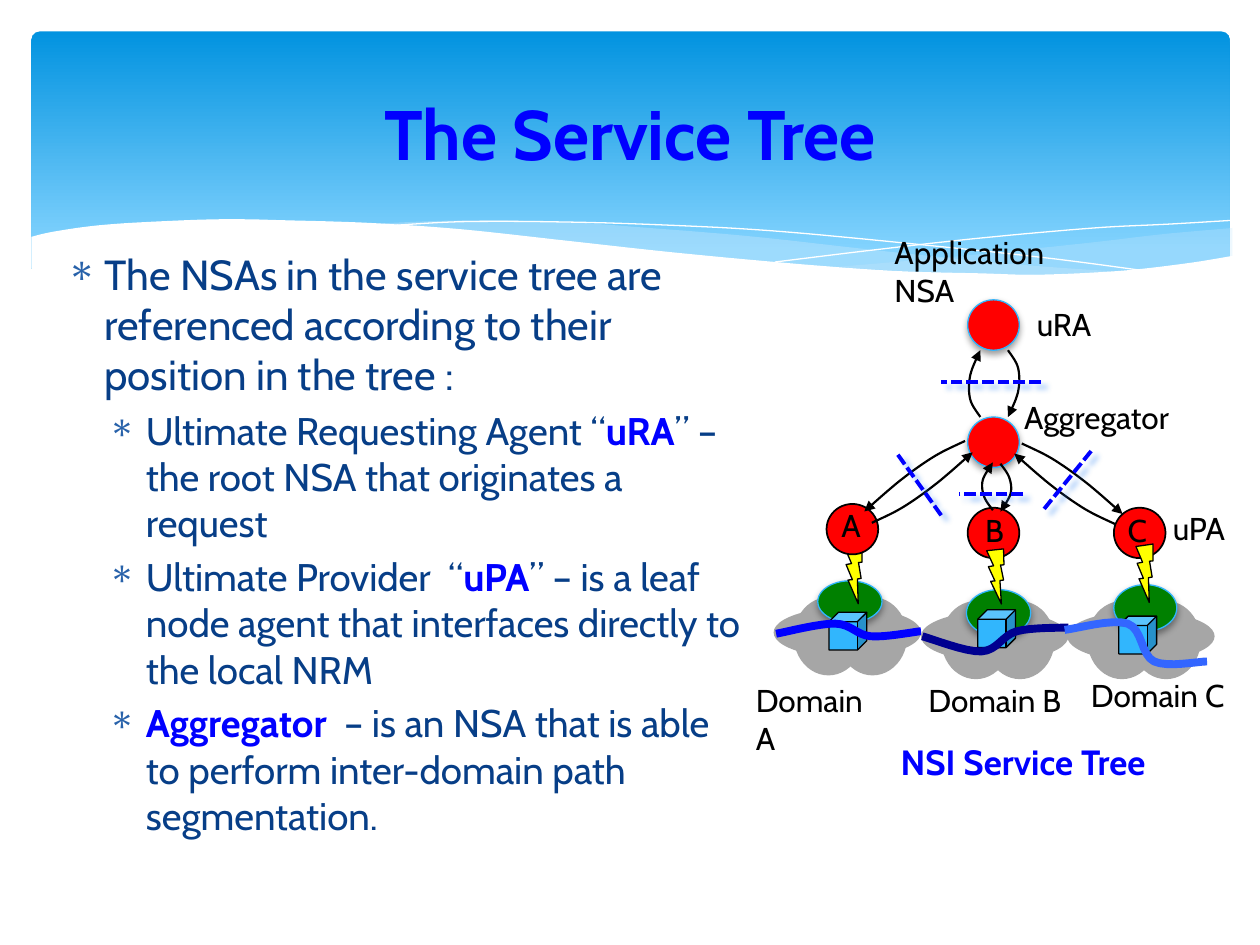
from lxml.etree import SubElement
from pptx import Presentation
from pptx.dml.color import RGBColor
from pptx.enum.dml import MSO_LINE
from pptx.enum.shapes import MSO_CONNECTOR, MSO_SHAPE as Kind
from pptx.enum.text import MSO_ANCHOR, PP_ALIGN
from pptx.oxml.ns import qn
from pptx.util import Inches, Pt

COLS, ROWS = 100, 75
BLUE, NAVY, SKY, RED = "0000FF", "073E87", "31B6FD", "FF0000"
DARK = ("000000", 38, 4, 2, 90)
GLOW = ("2D83F4", 38, 3.1, 4.6, 41)


def rgb(code):
    return RGBColor.from_string(code)


def add(node, tag, **vals):
    return SubElement(node, qn(tag), {k: str(v) for k, v in vals.items()})


def smooth(pts, steps=8):
    """Points of a Catmull-Rom curve through pts."""
    ends = [pts[0], *pts, pts[-1]]
    out = [pts[0]]
    for a, b, c, d in zip(ends, ends[1:], ends[2:], ends[3:]):
        for t in (i / steps for i in range(1, steps + 1)):
            out.append(tuple(
                (2 * q + (r - p) * t + (2 * p - 5 * q + 4 * r - s) * t ** 2
                 + (3 * q - p - 3 * r + s) * t ** 3) / 2
                for p, q, r, s in zip(a, b, c, d)))
    return out


class Page:
    def __init__(self, deck, font):
        self.font = font
        self.slide = deck.slides.add_slide(deck.slide_layouts[5])
        self.shapes = self.slide.shapes
        self.cell = (deck.slide_width / COLS, deck.slide_height / ROWS)

    def grid(self, *nums):
        """Columns and rows, in turn, as lengths."""
        return [round(n * self.cell[i % 2]) for i, n in enumerate(nums)]

    def effect(self, item, cast=None):
        fx = add(item._element.spPr, "a:effectLst")
        if cast:
            code, alpha, blur, dist, turn = cast
            shade = add(fx, "a:outerShdw", blurRad=Pt(blur), dist=Pt(dist),
                        dir=turn * 60000, algn="ctr", rotWithShape=0)
            add(add(shade, "a:srgbClr", val=code), "a:alpha", val=alpha * 1000)

    def paint(self, item, fill=None, line=None, width=0.75, cast=None):
        if fill:
            item.fill.solid()
            item.fill.fore_color.rgb = rgb(fill)
        else:
            item.fill.background()
        if line:
            item.line.color.rgb = rgb(line)
            item.line.width = Pt(width)
        else:
            item.line.fill.background()
        self.effect(item, cast)
        return item

    def shape(self, kind, at, turn=0, **look):
        item = self.shapes.add_shape(kind, *self.grid(*at))
        item.rotation = turn
        return self.paint(item, **look)

    def curve(self, pts, corners=(), close=False, alpha=None, head=False, **look):
        spots = [self.grid(*p) for p in [*smooth(pts), *corners]]
        pen = self.shapes.build_freeform(*spots[0])
        pen.add_line_segments(spots[1:], close=close)
        item = self.paint(pen.convert_to_shape(), **look)
        if alpha:
            tint = item._element.xpath("./p:spPr/a:solidFill/a:srgbClr")[0]
            add(tint, "a:alpha", val=alpha * 1000)
        if head:
            add(item.line._get_or_add_ln(), "a:tailEnd", type="triangle")

    def pair(self, pts, sums):
        """An arrow and its return, turned about half of sums."""
        back = [(sums[0] - x, sums[1] - y) for x, y in pts]
        for way in (pts, back):
            self.curve(way, head=True, line="000000", width=1.25)

    def dash(self, *ends):
        item = self.shapes.add_connector(MSO_CONNECTOR.STRAIGHT, *self.grid(*ends))
        looks = {"width": Pt(2.25), "dash_style": MSO_LINE.SQUARE_DOT}
        item.line.color.rgb = rgb(BLUE)
        for name, val in looks.items():
            setattr(item.line, name, val)
        self.effect(item, GLOW)

    def run(self, para, text, size=18, color="000000", bold=False):
        bit = para.add_run()
        bit.text = text
        looks = {"name": self.font, "size": Pt(size), "bold": bold}
        for name, val in looks.items():
            setattr(bit.font, name, val)
        bit.font.color.rgb = rgb(color)

    def box(self, at):
        frame = self.shapes.add_textbox(*self.grid(*at)).text_frame
        frame.word_wrap = True
        return frame

    def label(self, text, at, **look):
        self.run(self.box(at).paragraphs[0], text, **look)

    def title(self, text, at):
        item = self.shapes.title
        for name, val in zip(("left", "top", "width", "height"), self.grid(*at)):
            setattr(item, name, val)
        item.text_frame.vertical_anchor = MSO_ANCHOR.MIDDLE
        para = item.text_frame.paragraphs[0]
        para.alignment = PP_ALIGN.CENTER
        self.run(para, text, 40, BLUE, True)
        self.raise_up(item)

    def raise_up(self, item):
        self.shapes._spTree.append(item._element)

    def bullets(self, rows, at):
        """Rows of level and text; every second part between bars is bold."""
        frame = self.box(at)
        for n, (level, text) in enumerate(rows):
            para = frame.add_paragraph() if n else frame.paragraphs[0]
            size, left = ((24, 0.3), (22, 0.63))[level]
            para.level = level
            para.space_before = Pt(size * 0.2)
            props = para._p.get_or_add_pPr()
            props.set("marL", str(Inches(left)))
            props.set("indent", str(Inches(-0.3)))
            add(add(props, "a:buClr"), "a:srgbClr", val="2862AA")
            add(props, "a:buChar", char="∗")
            for i, part in enumerate(text.split("|")):
                if part:
                    self.run(para, part, size, BLUE if i % 2 else NAVY, bool(i % 2))


def banner(page):
    back = page.shape(Kind.ROUNDED_RECTANGLE, (2.5, 2.5, 95.1, 19.3))
    back.adjustments[0] = 0.034
    back.fill.gradient()
    back.fill.gradient_angle = 270
    for stop, spot, code in zip(back.fill.gradient_stops, (0, 0.9), ("0293E0", "83D3FE")):
        stop.position = spot
        stop.color.rgb = rgb(code)
    page.curve([(97.8, 18.1), (92.2, 18.6), (86.2, 19.3), (75.5, 20.4), (66.3, 21.2)],
               [(73.3, 21.6), (80.5, 21.8), (86.5, 21.7), (91.5, 21.3), (97.8, 20.4)],
               close=True, fill="C6E7FC", alpha=29)
    page.curve([(89.4, 21.6), (80.9, 21), (70.8, 20), (60, 18.8), (51.6, 18.1),
                (44.3, 17.6), (36.3, 17.5), (28.8, 17.8)],
               smooth([(28.8, 17.8), (36.4, 18.3), (45.1, 19.2), (56.8, 20.4),
                       (66.7, 21.3), (76.2, 21.8), (84, 21.8), (89.4, 21.6)]),
               close=True, fill="C6E7FC", alpha=40)
    page.curve([(31.1, 17.9), (36.5, 17.6), (43.4, 17.6), (51.2, 17.8), (61, 18.3),
                (72.9, 19.4), (83.3, 20.5), (90.9, 21.5)], line="FFFFFF", width=0)
    page.curve([(61.5, 20.8), (69.7, 19.8), (77.8, 18.9), (86.8, 18.1), (92.6, 17.8),
                (97.7, 17.5)], line="FFFFFF", width=0)
    page.curve([(2.5, 18.8), (4.2, 18.4), (7.7, 17.9), (12.1, 17.6), (17.8, 17.4),
                (23.2, 17.5), (29.4, 17.7), (36.6, 18.2), (44.9, 19.1), (53.1, 20),
                (62.7, 20.9), (70.9, 21.5), (77.9, 21.7), (82.5, 21.8), (88.9, 21.5),
                (94.2, 20.9), (97.9, 20.3)],
               [(97.9, 24.2), (2.5, 24.2)], close=True, fill="FFFFFF")


def domain(page, name, cloud, agent, green, cube, bolt, code, wave, text, tag):
    x, y = cloud
    for dx, dy, wide, high in ((0, 0.8, 11.7, 4), (1.6, 0, 5.5, 6.2), (5.1, 0, 5.5, 6.2)):
        page.shape(Kind.OVAL, (x + dx, y + dy, wide, high), fill="A6A6A6")
    node = page.shape(Kind.OVAL, (*agent, 4.1, 4), fill=RED, line="000000", width=1)
    page.shape(Kind.OVAL, green, fill="008000", line=SKY, cast=DARK)
    page.shape(Kind.CUBE, (*cube, 3, 3), fill=SKY, line="000000")
    page.shape(Kind.LIGHTNING_BOLT, bolt, turn=26, fill="FFFF00", line="000000")
    if name == "A":
        page.raise_up(node)
    page.label(name, tag)
    page.curve(wave, line=code, width=4.5)
    page.label(f"Domain {name}", text)


def tree(page):
    domain(page, "A", (61.4, 47.4), (65.6, 40), (64.9, 46.1, 5.1, 3.3), (65.8, 48.6),
           (66.3, 43.2, 2.9, 4.3), BLUE,
           [(61.6, 50.3), (66.3, 49.5), (69.1, 50.5), (73.1, 50.1)],
           (59, 53.6, 12.1, 4), (65.8, 39.7, 3.8, 4))
    domain(page, "B", (73.1, 47.7), (76.8, 40.3), (76.7, 46.8, 5.1, 3.7), (77.6, 48.4),
           (77.6, 43.5, 2.9, 4), "000090",
           [(73.2, 50.5), (77.9, 51.7), (80.7, 50.1), (84.8, 49.8)],
           (72.7, 53.6, 14, 4), (77.2, 40.1, 3, 4))
    domain(page, "C", (84.7, 47.7), (88.4, 40.3), (88.4, 46.4, 5, 3.7), (88.8, 48.9),
           (89.4, 43.1, 2.9, 4.3), "3366FF",
           [(84.5, 50), (89.5, 49.5), (91.6, 52.5), (95.8, 52.5)],
           (85.6, 53.2, 13.9, 4), (88.5, 40.1, 3.8, 4))
    for top in (23.8, 33.1):
        page.shape(Kind.OVAL, (76.8, top, 4.1, 4), fill=RED, line=SKY, cast=DARK)

    slope = [(81.1, 35.2), (83.5, 36.4), (86.2, 38.3), (89.1, 40.8)]
    page.pair([(80, 27.8), (80.8, 29.2), (80.8, 31.1), (80, 33.1)], (157.8, 60.9))
    page.pair(slope, (169.6, 76.8))
    page.pair([(157.7 - x, y - 0.2) for x, y in slope], (145.8, 76.5))
    page.pair([(79.4, 36.8), (80.1, 37.9), (80.2, 39.2), (79.4, 40.6)], (158.2, 77.3))
    for ends in ((82.6, 30.3, 74.7, 30.3), (74.7, 40.9, 71.2, 36),
                 (86.6, 35.8, 82.7, 40.6), (81.2, 39.2, 76.1, 39.2)):
        page.dash(*ends)

    for text, at in (("Application NSA", (70, 18, 18.5, 4)), ("uRA", (81.3, 23.7, 6.5, 4)),
                     ("uPA", (92.1, 39.9, 6.3, 4)), ("Aggregator", (80.3, 31.1, 14.3, 4))):
        page.label(text, at)
    page.label("NSI Service Tree", (70.5, 58.3, 22, 4.4), size=20, color=BLUE, bold=True)


def main():
    deck = Presentation()
    deck.slide_width, deck.slide_height = Inches(10), Inches(7.5)
    page = Page(deck, "Cabin")
    banner(page)
    page.title("The Service Tree", (5, 3.7, 90, 13.7))
    page.bullets([
        (0, "The NSAs in the service tree are referenced according to their "
            "position in the tree :"),
        (1, "Ultimate Requesting Agent “|uRA|” – the root NSA that originates a request"),
        (1, "Ultimate Provider  “|uPA|” – is a leaf node agent that interfaces "
            "directly to the local NRM"),
        (1, "|Aggregator|  – is an NSA that is able to perform inter-domain "
            "path segmentation."),
    ], (4.3, 19.2, 55.9, 51.6))
    tree(page)
    deck.save("out.pptx")


if __name__ == "__main__":
    main()
